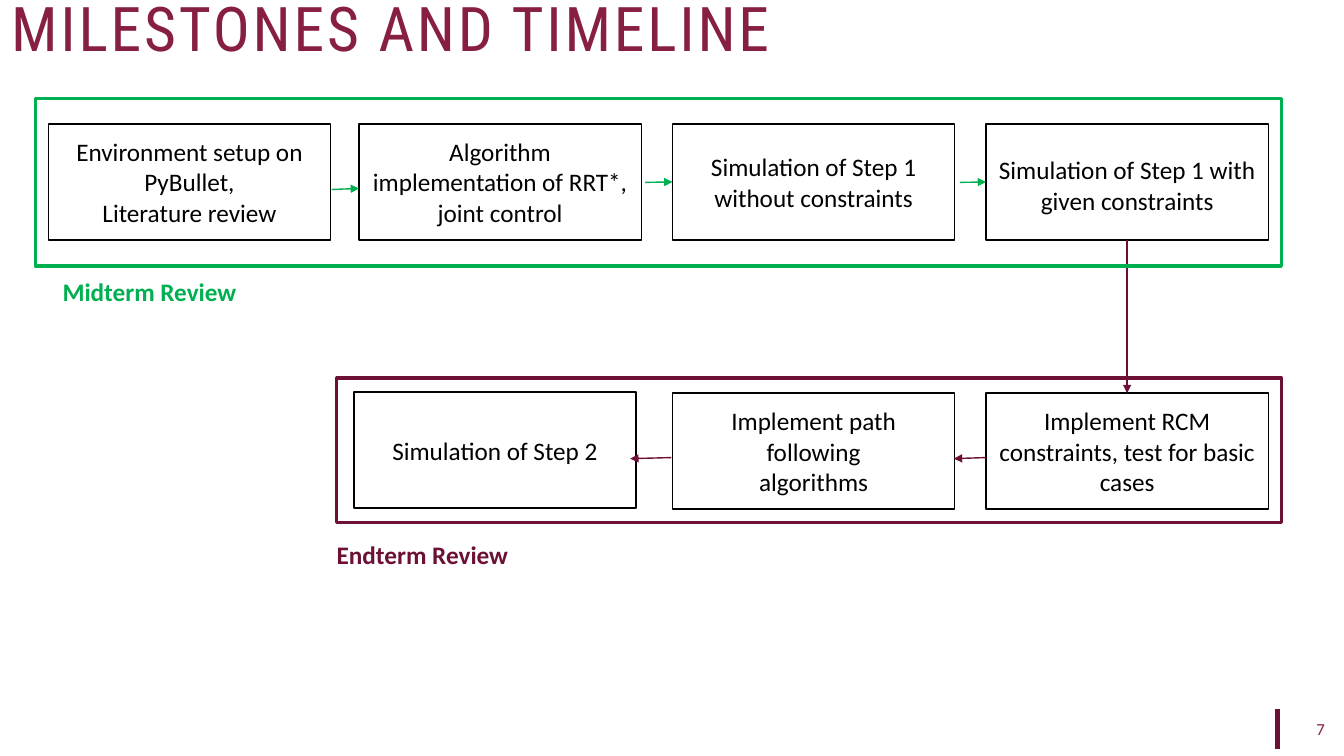
import dataclasses
import pptx
import pptx.dml.color
import pptx.enum.shapes
import pptx.enum.text
import pptx.oxml.ns
import pptx.util
from lxml import etree

Kind = pptx.enum.shapes.MSO_SHAPE
Align = pptx.enum.text.PP_ALIGN
Anchor = pptx.enum.text.MSO_ANCHOR

GREEN, WINE, ROSE, BLACK = "00B050", "6C1035", "861F41", "000000"

deck = pptx.Presentation()
deck.slide_width = pptx.util.Inches(13.33)
deck.slide_height = pptx.util.Inches(7.5)
slide = deck.slides.add_slide(deck.slide_layouts[5])

# Flow grid, in percent of the slide's width and height
LEFT, STEP, TOP, DROP = 3.38, 23.33, 16.4, 35.6
WIDE, HIGH = 21, 15.33


@dataclasses.dataclass
class Task:
    text: str
    col: int
    row: int
    dx: float = 0
    dy: float = 0
    pad: float = 0.05  # top inset in inches


@dataclasses.dataclass
class Arrow:
    start: tuple
    end: tuple
    color: str
    source: int | None = None  # task joined at its bottom
    target: int | None = None  # task joined at the given side
    side: int = 1


@dataclasses.dataclass
class Phase:
    name: str
    color: str
    frame: tuple
    label: tuple


TASKS = [
    Task("Environment setup on PyBullet,\nLiterature review", 0, 0, dx=0.22),
    Task("Algorithm implementation of RRT*, joint control", 1, 0),
    Task("Simulation of Step 1 without constraints", 2, 0),
    Task("Simulation of Step 1 with given constraints", 3, 0, pad=0.11),
    Task("Implement RCM constraints, test for basic cases", 3, 1),
    Task("Implement path following\nalgorithms", 2, 1),
    Task("Simulation of Step 2", 1, 1, dx=-0.38, dy=-0.13),
]
ARROWS = [
    Arrow((24.68, 25.07), (26.71, 24.93), GREEN),
    Arrow((48.01, 24.13), (50.04, 24.07), GREEN, target=2),
    Arrow((71.42, 24.13), (73.37, 24.07), GREEN, target=3),
    Arrow((83.87, 31.73), (83.87, 52), WINE, source=3, target=4, side=0),
    Arrow((73.37, 60.53), (70.97, 60.67), WINE),
    Arrow((49.96, 60.53), (46.89, 60.67), WINE),
]
PHASES = [
    Phase("Midterm Review", GREEN, (2.63, 13.07, 92.72, 22.13), (4.28, 35.87)),
    Phase("Endterm Review", WINE, (25.06, 50, 70.29, 19.07), (24.68, 70.67)),
]


def across(share: float) -> int:
    return round(deck.slide_width * share / 100)


def down(share: float) -> int:
    return round(deck.slide_height * share / 100)


def place(x: float, y: float, w: float, h: float) -> tuple:
    return across(x), down(y), across(w), down(h)


def tint(code: str) -> pptx.dml.color.RGBColor:
    return pptx.dml.color.RGBColor.from_string(code)


def write(shape, text: str, *, size: float = 18, font: str = "Calibri",
          color: str = BLACK, bold: bool = False, align=Align.LEFT,
          anchor=Anchor.TOP, inset: tuple = (0.05, 0.05, 0.05, 0.05),
          space: float = 1, track: float = 0) -> None:
    frame = shape.text_frame
    frame.word_wrap = True
    frame.auto_size = pptx.enum.text.MSO_AUTO_SIZE.NONE
    frame.vertical_anchor = anchor
    (frame.margin_left, frame.margin_top, frame.margin_right,
     frame.margin_bottom) = map(pptx.util.Inches, inset)
    frame.text = text
    for para in frame.paragraphs:
        para.alignment = align
        para.line_spacing = space
        for run in para.runs:
            run.font.size = pptx.util.Pt(size)
            run.font.name = font
            run.font.bold = bold
            run.font.color.rgb = tint(color)
            if track:
                run._r.get_or_add_rPr().set("spc", str(round(track * 100)))


def outline(kind, area: tuple, color: str, weight: float):
    shape = slide.shapes.add_shape(kind, *place(*area))
    shape.shadow.inherit = False
    shape.fill.background()
    shape.line.color.rgb = tint(color)
    shape.line.width = pptx.util.Pt(weight)
    return shape


def stroke(start: tuple, end: tuple, color: str, weight: float, head: bool = False):
    line = slide.shapes.add_connector(
        pptx.enum.shapes.MSO_CONNECTOR.STRAIGHT,
        across(start[0]), down(start[1]), across(end[0]), down(end[1]))
    line.line.color.rgb = tint(color)
    line.line.width = pptx.util.Pt(weight)
    qn = pptx.oxml.ns.qn
    if head:
        etree.SubElement(line.line._get_or_add_ln(), qn("a:tailEnd"), type="triangle")
    etree.SubElement(line._element.spPr, qn("a:effectLst"))
    return line


def label(area: tuple, text: str, **style) -> None:
    write(slide.shapes.add_textbox(*place(*area)), text, **style)


def main() -> None:
    # Page number and its rule
    stroke((95.05, 99.07), (95.05, 93.73), WINE, 3)
    label((95.95, 93.73, 3.38, 5.33), "7", size=12, color=ROSE,
          align=Align.RIGHT, anchor=Anchor.MIDDLE, inset=(0.1, 0.05, 0.1, 0.05))

    # Title
    title = slide.shapes.title
    title.left, title.top, title.width, title.height = place(0.08, -0.27, 78.39, 7.87)
    write(title, "MILESTONES AND TIMELINE", size=44, font="Roboto Condensed",
          color=ROSE, inset=(0.1, 0, 0.1, 0), space=0.9, track=2)

    # Task boxes
    boxes = []
    for task in TASKS:
        area = (LEFT + STEP * task.col + task.dx, TOP + DROP * task.row + task.dy,
                WIDE, HIGH)
        box = outline(Kind.FLOWCHART_PROCESS, area, BLACK, 1)
        write(box, task.text, align=Align.CENTER, anchor=Anchor.MIDDLE,
              inset=(0.1, task.pad, 0.1, 0.05))
        boxes.append(box)

    # Arrows
    for arrow in ARROWS:
        line = stroke(arrow.start, arrow.end, arrow.color, 1, head=True)
        if arrow.source is not None:
            line.begin_connect(boxes[arrow.source], 2)
        if arrow.target is not None:
            line.end_connect(boxes[arrow.target], arrow.side)

    # Review phases
    for phase in PHASES:
        outline(Kind.RECTANGLE, phase.frame, phase.color, 2.25)
        label((*phase.label, 16.8, 9.47), phase.name, color=phase.color, bold=True)

    deck.save("out.pptx")


if __name__ == "__main__":
    main()
